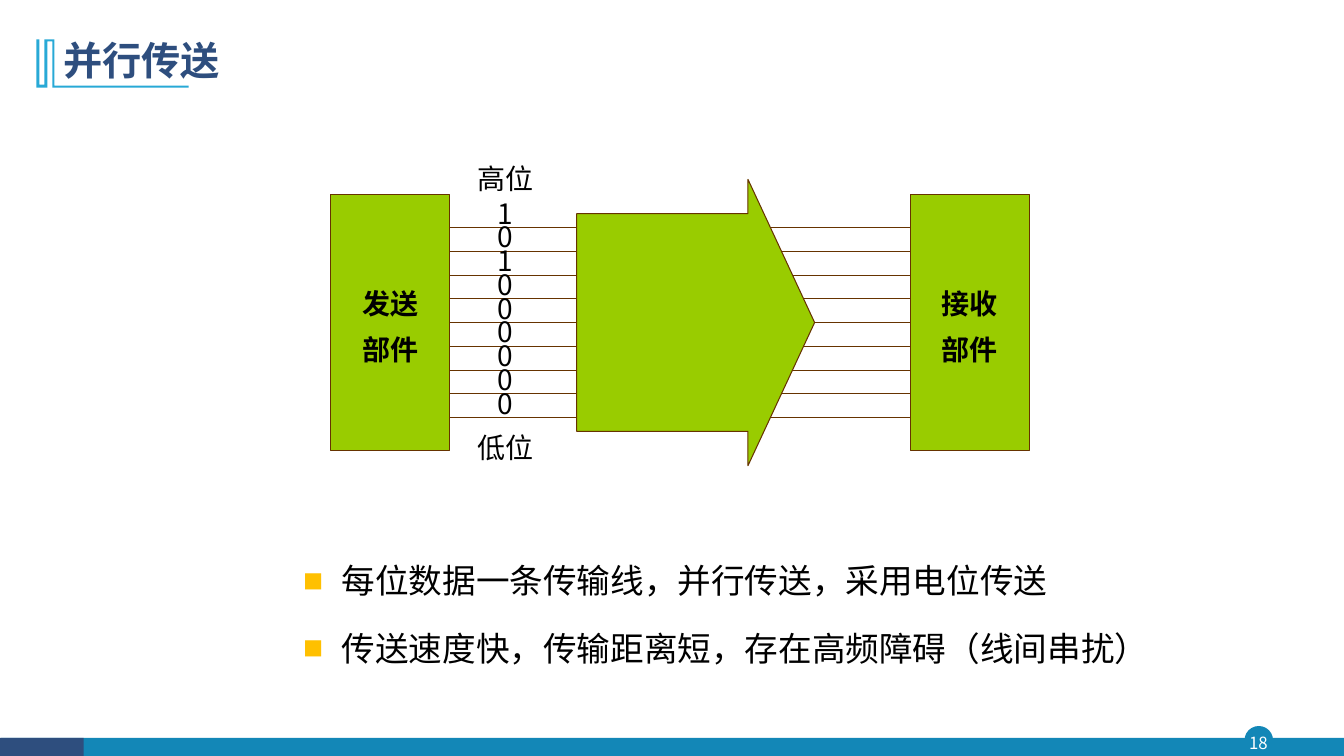
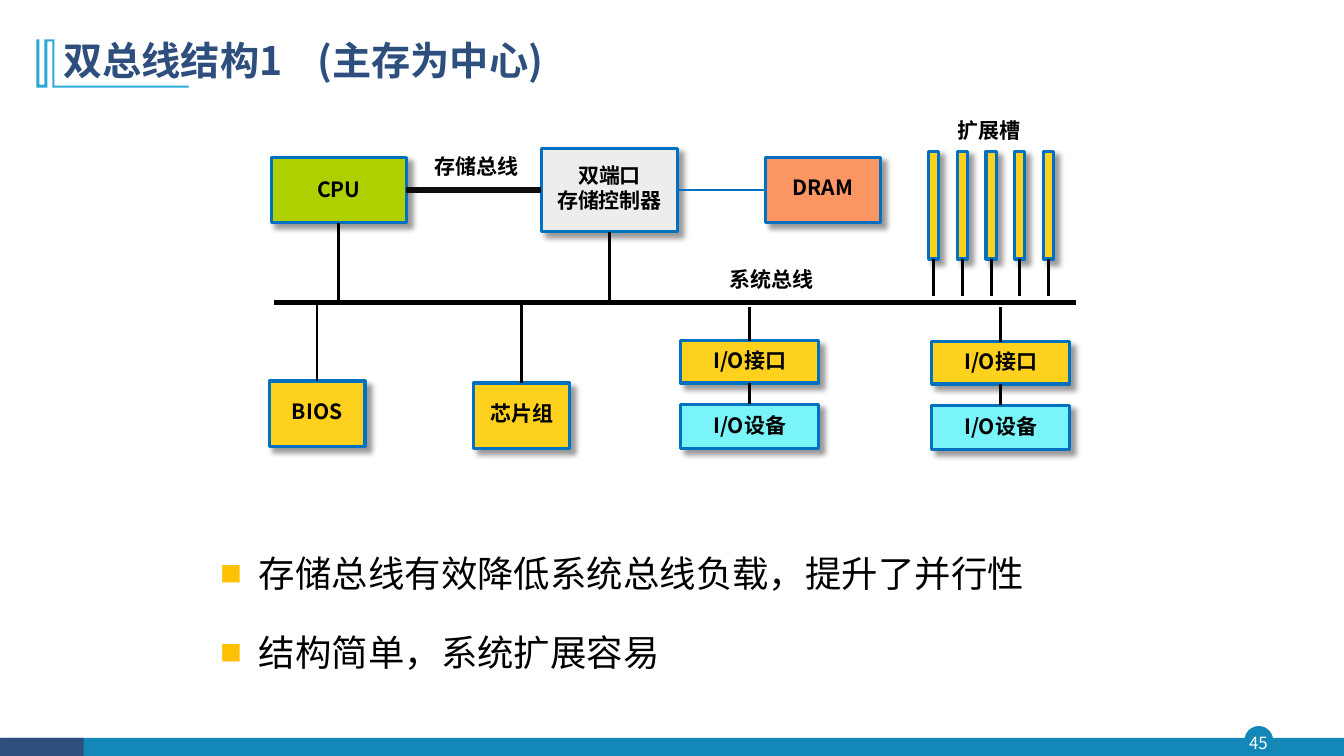
from dataclasses import dataclass

from lxml.etree import SubElement
from pptx import Presentation
from pptx.dml.color import RGBColor
from pptx.enum.shapes import MSO_CONNECTOR, MSO_SHAPE
from pptx.enum.text import MSO_ANCHOR, MSO_AUTO_SIZE, PP_ALIGN
from pptx.oxml.ns import qn
from pptx.util import Inches, Pt

TOP, LEFT, BOTTOM, RIGHT = range(4)  # connection sites of a rectangle


@dataclass(frozen=True)
class Theme:
    font: str = "Noto Sans CJK SC"
    navy: str = "2E4E7E"
    teal: str = "1387B7"
    sky: str = "28A9D6"
    white: str = "FFFFFF"
    black: str = "000000"
    bullet: str = "FFC000"
    green: str = "99CC00"
    brown: str = "663300"
    blue: str = "0070C0"
    lime: str = "AECF00"
    yellow: str = "FDD11E"
    cyan: str = "79F5F9"
    orange: str = "FB9562"
    grey: str = "EDEDED"
    memory_bus: str = "0D0D0D"
    page_size: float = 12
    label_size: float = 15
    diagram_size: float = 20
    title_size: float = 28


THEME = Theme()


def color(value):
    return RGBColor.from_string(value)


def add_bullet(paragraph):
    properties = paragraph._p.get_or_add_pPr()
    properties.set("marL", str(Inches(0.38)))
    properties.set("indent", str(-Inches(0.38)))
    bullet_color = SubElement(properties, qn("a:buClr"))
    SubElement(bullet_color, qn("a:srgbClr"), val=THEME.bullet)
    SubElement(properties, qn("a:buSzPct"), val="60000")
    SubElement(properties, qn("a:buFont"), typeface=THEME.font)
    SubElement(properties, qn("a:buChar"), char="■")


def add_tab_stop(paragraph, position):
    tabs = SubElement(paragraph._p.get_or_add_pPr(), qn("a:tabLst"))
    SubElement(tabs, qn("a:tab"), pos=str(Inches(position)), algn="l")


def write_text(frame, text, size=THEME.label_size, text_color=THEME.black,
               bold=False, align=PP_ALIGN.CENTER, anchor=MSO_ANCHOR.TOP,
               insets=(0.1, 0.05), wrap=True, line_spacing=None,
               space_before=0, bullets=False, tab_stop=None):
    """Fill a text frame, one paragraph for each line of the text."""
    frame.auto_size = MSO_AUTO_SIZE.NONE
    frame.word_wrap = wrap
    frame.vertical_anchor = anchor
    frame.margin_left = frame.margin_right = Inches(insets[0])
    frame.margin_top = frame.margin_bottom = Inches(insets[1])
    for index, line in enumerate(text.split("\n")):
        paragraph = frame.add_paragraph() if index else frame.paragraphs[0]
        if bullets:
            add_bullet(paragraph)
        if tab_stop:
            add_tab_stop(paragraph, tab_stop)
        paragraph.alignment = align
        paragraph.space_before = Pt(space_before if index else 0)
        if line_spacing:
            paragraph.line_spacing = line_spacing
        run = paragraph.add_run()
        run.text = line
        run.font.name = THEME.font
        run.font.size = Pt(size)
        run.font.bold = bold
        run.font.color.rgb = color(text_color)
        SubElement(run._r.get_or_add_rPr(), qn("a:ea"), typeface=THEME.font)


class Deck:
    """Holds the presentation, its style and the current slide."""

    def __init__(self, theme):
        self.theme = theme
        self.presentation = Presentation()
        self.presentation.slide_width = Inches(13.33)
        self.presentation.slide_height = Inches(7.5)
        self.slide = None

    def new_slide(self, title, page, **title_format):
        layout = self.presentation.slide_layouts[5]
        self.slide = self.presentation.slides.add_slide(layout)
        self.footer(page)
        self.title_mark()
        shape = self.slide.shapes.title
        shape.left, shape.top = Inches(0.53), Inches(0.28)
        shape.width, shape.height = Inches(11.5), Inches(0.68)
        write_text(shape.text_frame, title, size=self.theme.title_size,
                   text_color=self.theme.navy, bold=True, align=PP_ALIGN.LEFT,
                   anchor=MSO_ANCHOR.MIDDLE, line_spacing=0.9, **title_format)

    def footer(self, page):
        theme = self.theme
        self.shape(12.35, 7.21, 0.27, 0.27, theme.teal, theme.teal, 1,
                   MSO_SHAPE.OVAL)
        self.shape(0.01, 7.32, 13.32, 0.19, theme.teal)
        self.shape(0, 7.32, 0.83, 0.19, theme.navy)
        self.text(12.32, 7.21, 0.32, 0.31, str(page), size=theme.page_size,
                  text_color=theme.white, anchor=MSO_ANCHOR.MIDDLE,
                  insets=(0, 0))

    def title_mark(self):
        outline = [(0.54, 0.39), (0.54, 0.85), (1.87, 0.85), (1.87, 0.87),
                   (0.52, 0.87), (0.52, 0.41), (0.47, 0.41), (0.47, 0.87),
                   (0.36, 0.87), (0.36, 0.39), (0.39, 0.39), (0.39, 0.84),
                   (0.44, 0.84), (0.44, 0.39)]
        points = [(Inches(x), Inches(y)) for x, y in outline]
        builder = self.slide.shapes.build_freeform(*points[0])
        builder.add_line_segments(points[1:], close=True)
        self.paint(builder.convert_to_shape(), self.theme.sky)

    def paint(self, shape, fill, line=None, line_width=1):
        shape.shadow.inherit = False
        shape.fill.solid()
        shape.fill.fore_color.rgb = color(fill)
        if line:
            shape.line.color.rgb = color(line)
            shape.line.width = Pt(line_width)
        else:
            shape.line.fill.background()

    def shape(self, left, top, width, height, fill, line=None, line_width=1,
              kind=MSO_SHAPE.RECTANGLE):
        shape = self.slide.shapes.add_shape(
            kind, Inches(left), Inches(top), Inches(width), Inches(height))
        self.paint(shape, fill, line, line_width)
        return shape

    def text(self, left, top, width, height, text, **text_format):
        box = self.slide.shapes.add_textbox(
            Inches(left), Inches(top), Inches(width), Inches(height))
        write_text(box.text_frame, text, **text_format)

    def bullets(self, left, top, width, height, text, **text_format):
        self.text(left, top, width, height, text, align=PP_ALIGN.LEFT,
                  line_spacing=1.5, bullets=True, **text_format)

    def block(self, left, top, width, height, fill, label=None, inset_top=0):
        """A blue-edged rectangle with a soft shadow and an optional label."""
        shape = self.shape(left, top, width, height, fill, self.theme.blue, 2.25)
        effects = shape._element.spPr.find(qn("a:effectLst"))
        shadow = SubElement(effects, qn("a:outerShdw"), blurRad=str(Pt(4)),
                            dist=str(Pt(5)), dir="2700000", algn="tl",
                            rotWithShape="0")
        tint = SubElement(shadow, qn("a:srgbClr"), val=self.theme.black)
        SubElement(tint, qn("a:alpha"), val="40000")
        if label:
            write_text(shape.text_frame, label, bold=True,
                       insets=(0, inset_top))
        return shape

    def line(self, start, end, line_color, width, begin=None, finish=None):
        """A straight line; begin and finish are (shape, site) joints."""
        connector = self.slide.shapes.add_connector(
            MSO_CONNECTOR.STRAIGHT, *(Inches(value) for value in start + end))
        if begin:
            connector.begin_connect(*begin)
        if finish:
            connector.end_connect(*finish)
        connector.line.color.rgb = color(line_color)
        connector.line.width = Pt(width)
        SubElement(connector._element.spPr, qn("a:effectLst"))

    def stem(self, block, site, end_y):
        """A vertical line from the top or bottom of a block to a height."""
        x = (block.left + block.width / 2) / Inches(1)
        edge = block.top + (block.height if site == BOTTOM else 0)
        self.line((x, edge / Inches(1)), (x, end_y), self.theme.black, 2,
                  begin=(block, site))


def parallel_slide(deck):
    theme = deck.theme
    deck.new_slide("并行传送", 18)

    # Sender and receiver
    ends = []
    for left, label in ((3.28, "发送\n部件"), (9.03, "接收\n部件")):
        part = deck.shape(left, 1.93, 1.18, 2.54, theme.green, theme.brown, 0.75)
        write_text(part.text_frame, label, size=theme.diagram_size, bold=True,
                   anchor=MSO_ANCHOR.MIDDLE, wrap=False, line_spacing=1.2,
                   space_before=4)
        ends.append(part)
    sender, receiver = ends

    # One wire and one digit for each bit
    bits = "101000000".replace("101", "101", 1)
    pitch, middle = 0.2355, len(bits) // 2
    for index, bit in enumerate(bits):
        y = 3.2 + (index - middle) * pitch
        central = index == middle
        deck.line((4.46, y), (5.72, y), theme.brown, 0.75,
                  begin=(sender, RIGHT) if central else None)
        deck.line((7.45, y), (9.03, y), theme.brown, 0.75,
                  finish=(receiver, LEFT) if central else None)
        deck.text(4.78, y - 0.36, 0.47, 0.43, bit, size=theme.diagram_size)
    for top, label in ((1.55, "高位"), (4.22, "低位")):
        deck.text(4.62, top, 0.79, 0.43, label, size=theme.diagram_size)

    # Direction of transfer
    arrow = deck.shape(5.72, 1.78, 2.36, 2.84, theme.green, theme.brown, 0.75,
                       MSO_SHAPE.RIGHT_ARROW)
    arrow.adjustments[0], arrow.adjustments[1] = 0.76, 0.28

    deck.bullets(2.91, 5.31, 8.61, 1.39,
                 "每位数据一条传输线，并行传送，采用电位传送\n"
                 "传送速度快，传输距离短，存在高频障碍（线间串扰）",
                 size=24, space_before=4.8)


def dual_bus_slide(deck):
    theme = deck.theme
    deck.new_slide("双总线结构1\t(主存为中心)", 45, tab_stop=2.52)
    bus_y = 3

    # Processor, memory controller and memory
    processor = deck.block(2.69, 1.56, 1.34, 0.65, theme.lime, "CPU", 0.19)
    controller = deck.block(5.37, 1.47, 1.35, 0.83, theme.grey,
                            "双端口\n存储控制器", 0.14)
    memory = deck.block(7.59, 1.56, 1.14, 0.65, theme.orange, "DRAM", 0.17)
    deck.line((4.03, 1.89), (5.37, 1.89), theme.memory_bus, 4,
              (processor, RIGHT), (controller, LEFT))
    deck.line((6.72, 1.89), (7.59, 1.89), theme.blue, 2,
              (controller, RIGHT), (memory, LEFT))
    for block in (processor, controller):
        deck.stem(block, BOTTOM, bus_y)

    # System bus
    deck.line((2.72, bus_y), (10.67, bus_y), theme.black, 4)

    # Expansion slots
    for index in range(5):
        slot = deck.block(9.21 + index * 0.285, 1.5, 0.1, 1.07, theme.yellow)
        deck.stem(slot, BOTTOM, 2.94)

    # Chips below the bus
    for left, top, label in ((2.67, 3.78, "BIOS"), (4.7, 3.8, "芯片组")):
        chip = deck.block(left, top, 0.95, 0.65, theme.yellow, label, 0.17)
        deck.stem(chip, TOP, bus_y)

    # Interfaces with their devices
    for left, top in ((6.75, 3.38), (9.24, 3.39)):
        interface = deck.block(left, top, 1.37, 0.42, theme.yellow,
                               "I/O接口", 0.07)
        deck.block(left, top + 0.63, 1.37, 0.44, theme.cyan, "I/O设备", 0.08)
        deck.stem(interface, TOP, 3.05)
        deck.stem(interface, BOTTOM, top + 0.63)

    # Labels
    for left, top, width, label in ((4.11, 1.47, 1.24, "存储总线"),
                                    (6.58, 2.59, 2.15, "系统总线"),
                                    (9.26, 1.12, 1.1, "扩展槽")):
        deck.text(left, top, width, 0.41, label, bold=True)

    deck.bullets(2.09, 5.2, 8.39, 1.8,
                 "存储总线有效降低系统总线负载，提升了并行性\n"
                 "结构简单，系统扩展容易",
                 size=26, space_before=10)


def main():
    deck = Deck(THEME)
    parallel_slide(deck)
    dual_bus_slide(deck)
    deck.presentation.save("out.pptx")


if __name__ == "__main__":
    main()
